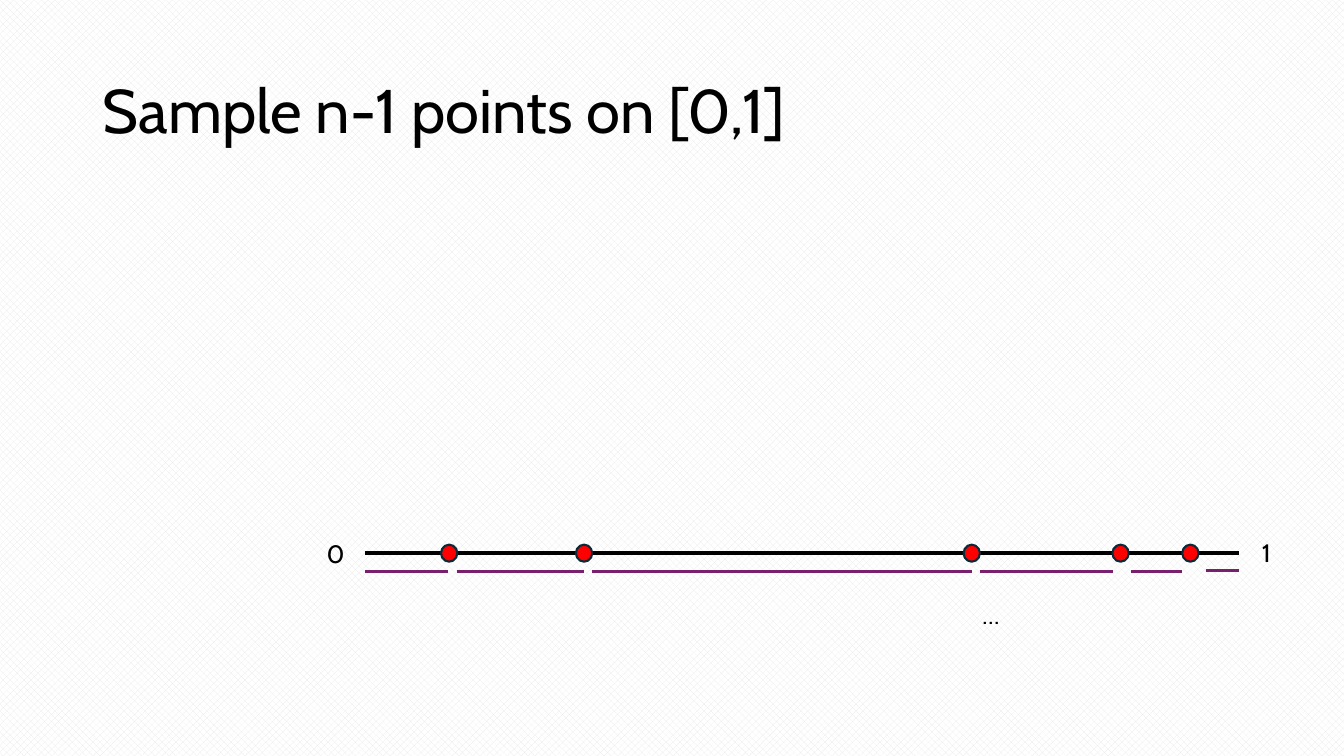
from lxml import etree
from pptx import Presentation
from pptx import util as u
from pptx.dml.color import RGBColor
from pptx.enum import dml, shapes, text
from pptx.oxml.ns import qn

COLORS = {"ink": "000000", "point": "FF0000", "outline": "092A39",
          "gap": "78206E", "pattern": "E8E8E8", "paper": "FFFFFF"}
FONT = "Cabin"


def color(name):
    return RGBColor.from_string(COLORS[name])


def write(shape, content, size, anchor=text.MSO_ANCHOR.TOP, spacing=1.0):
    frame = shape.text_frame
    frame.text = content
    frame.word_wrap = True
    frame.vertical_anchor = anchor
    paragraph = frame.paragraphs[0]
    paragraph.alignment = text.PP_ALIGN.LEFT
    paragraph.line_spacing = spacing
    paragraph.font.name = FONT
    paragraph.font.size = u.Pt(size)
    paragraph.font.color.rgb = color("ink")


presentation = Presentation()
presentation.slide_width = u.Cm(33.87)
presentation.slide_height = u.Cm(19.05)
slide = presentation.slides.add_slide(presentation.slide_layouts[5])

background = slide.background.fill
background.patterned()
background.pattern = dml.MSO_PATTERN.PERCENT_50
background.fore_color.rgb = color("pattern")
background.back_color.rgb = color("paper")

title = slide.shapes.title
title.left, title.top = u.Cm(2.33), u.Cm(1.01)
title.width, title.height = u.Cm(29.21), u.Cm(3.68)
write(title, "Sample n-1 points on [0,1]", 44, text.MSO_ANCHOR.MIDDLE, 0.9)

# The unit interval, then the gaps between neighbouring points
axis_start, axis_end, axis_y = 9.2, 31.22, 13.94
lines = [
    (axis_start, axis_end, axis_y, "ink", 3),
    (axis_start, 11.3, 14.4, "gap", 2.25),
    (11.51, 14.71, 14.4, "gap", 2.25),
    (14.91, 24.49, 14.4, "gap", 2.25),
    (24.69, 28.04, 14.4, "gap", 2.25),
    (28.5, 29.79, 14.4, "gap", 2.25),
    (30.38, axis_end, 14.37, "gap", 2.25),
]
for start, end, y, line_color, width in lines:
    line = slide.shapes.add_connector(
        shapes.MSO_CONNECTOR.STRAIGHT, u.Cm(start), u.Cm(y), u.Cm(end), u.Cm(y))
    line.line.color.rgb = color(line_color)
    line.line.width = u.Pt(width)
    etree.SubElement(line._element.spPr, qn("a:effectLst"))

point_width, point_height = 0.41, 0.43
for center in (11.32, 14.72, 24.49, 28.24, 30.0):
    point = slide.shapes.add_shape(
        shapes.MSO_SHAPE.OVAL, u.Cm(center - point_width / 2),
        u.Cm(axis_y - point_height / 2), u.Cm(point_width), u.Cm(point_height))
    point.shadow.inherit = False
    point.fill.solid()
    point.fill.fore_color.rgb = color("point")
    point.line.color.rgb = color("outline")
    point.line.width = u.Pt(1.5)

labels = [("…", 24.51, 14.99, 1.47), ("0", 7.98, 13.44, 1.3), ("1", 31.55, 13.41, 1.42)]
for content, left, top, width in labels:
    label = slide.shapes.add_textbox(u.Cm(left), u.Cm(top), u.Cm(width), u.Cm(1.02))
    write(label, content, 18)
    label.text_frame.auto_size = text.MSO_AUTO_SIZE.SHAPE_TO_FIT_TEXT

presentation.save("out.pptx")
